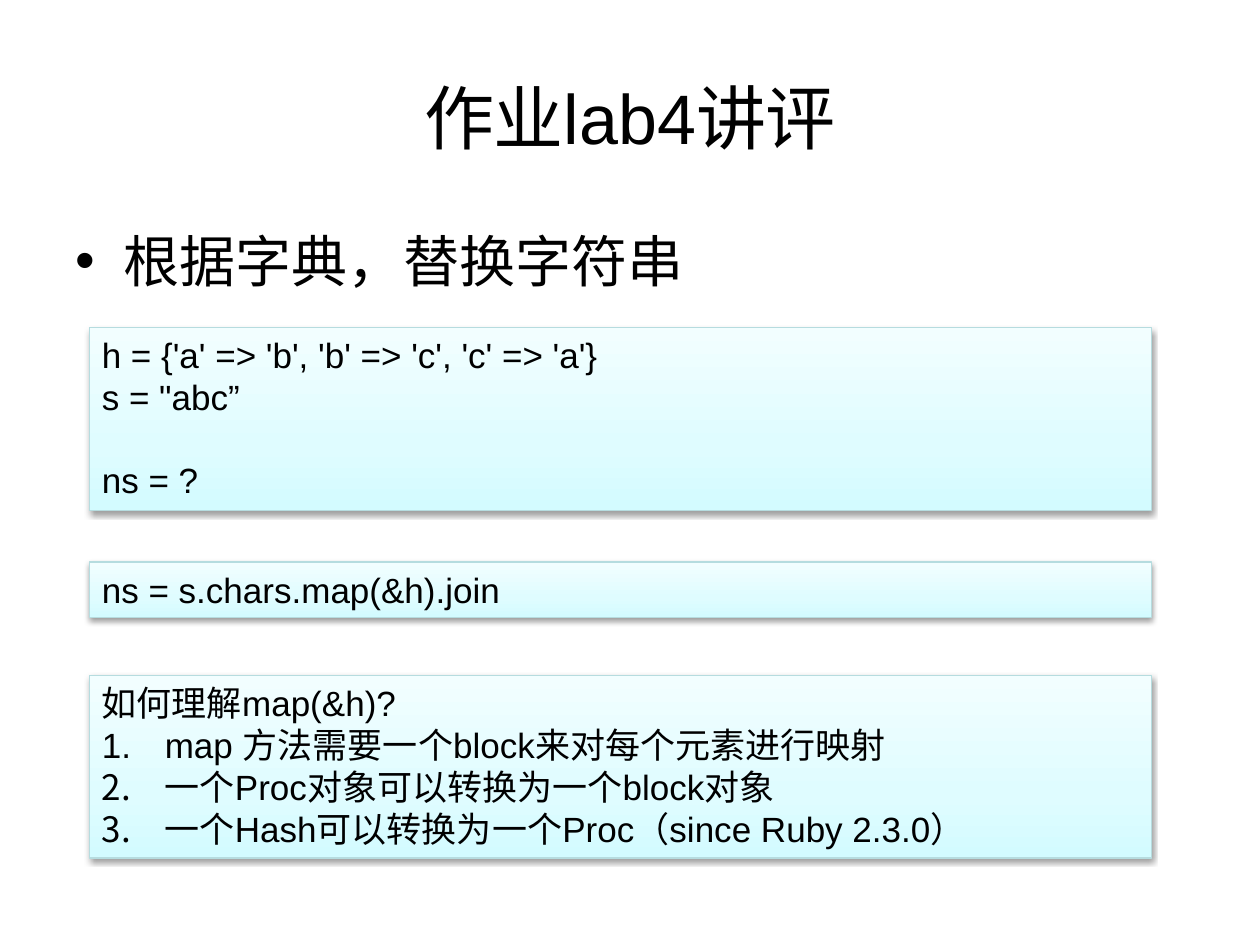
from dataclasses import dataclass

from lxml import etree
from pptx import Presentation
from pptx.dml.color import RGBColor
from pptx.enum.shapes import MSO_SHAPE
from pptx.enum.text import MSO_ANCHOR, MSO_AUTO_SIZE, PP_ALIGN
from pptx.oxml import parse_xml
from pptx.oxml.ns import qn
from pptx.util import Pt

PX = 9144
RECT = MSO_SHAPE.RECTANGLE
TOP, MIDDLE = MSO_ANCHOR.TOP, MSO_ANCHOR.MIDDLE
LEFT, CENTER = PP_ALIGN.LEFT, PP_ALIGN.CENTER
NO_FIT, GROW = MSO_AUTO_SIZE.NONE, MSO_AUTO_SIZE.SHAPE_TO_FIT_TEXT
A_NS = 'xmlns:a="http://schemas.openxmlformats.org/drawingml/2006/main"'


@dataclass(frozen=True)
class Theme:
    font: str = "Arial"
    text: str = "000000"
    border: str = "B6DCDF"
    shadow: str = "000000"
    gradient: tuple = ((0, "D3FBFF"), (35, "DFFCFF"), (100, "F2FEFF"))
    title_size: int = 40
    body_size: int = 32
    code_size: int = 20
    blank_line: int = 23


THEME = Theme()


def emu(box):
    return [v * PX for v in box]


def add_run(p, text, size):
    r = p.add_run()
    r.text = text
    r.font.name = THEME.font
    r.font.size = Pt(size)
    r.font.color.rgb = RGBColor.from_string(THEME.text)


def set_bullet(p, indent, tag, **attrs):
    pPr = p._p.get_or_add_pPr()
    pPr.set("marL", str(indent * PX))
    pPr.set("indent", str(-indent * PX))
    font = etree.SubElement(pPr, qn("a:buFont"))
    font.set("typeface", THEME.font)
    bullet = etree.SubElement(pPr, qn(tag))
    for name, value in attrs.items():
        bullet.set(name, value)


def style_panel(sp):
    sp.line.color.rgb = RGBColor.from_string(THEME.border)
    sp.line.width = Pt(0.75)
    stops = "".join(
        f'<a:gs pos="{pos * 1000}"><a:srgbClr val="{color}"/></a:gs>'
        for pos, color in THEME.gradient
    )
    gradient = parse_xml(
        f'<a:gradFill {A_NS} rotWithShape="1"><a:gsLst>{stops}</a:gsLst>'
        '<a:lin ang="16200000" scaled="0"/></a:gradFill>'
    )
    effects = parse_xml(
        f'<a:effectLst {A_NS}><a:outerShdw blurRad="40000" dist="20000" '
        f'dir="5400000" rotWithShape="0"><a:srgbClr val="{THEME.shadow}">'
        '<a:alpha val="38000"/></a:srgbClr></a:outerShdw></a:effectLst>'
    )
    spPr = sp._element.spPr
    spPr.find(qn("a:prstGeom")).addnext(gradient)
    spPr.find(qn("a:ln")).addnext(effects)


def place_title(s, box, text):
    title = s.shapes.title
    title.left, title.top, title.width, title.height = emu(box)
    tf = title.text_frame
    tf.vertical_anchor = MIDDLE
    p = tf.paragraphs[0]
    p.alignment = CENTER
    add_run(p, text, THEME.title_size)


def place_body(s, box, text):
    tf = s.shapes.add_textbox(*emu(box)).text_frame
    tf.word_wrap = True
    tf.auto_size = NO_FIT
    p = tf.paragraphs[0]
    set_bullet(p, 38, "a:buChar", char="•")
    p.space_before = Pt(THEME.body_size * 0.2)
    add_run(p, text, THEME.body_size)


def place_panel(s, box, lines, numbered=(), gap_before=None):
    sp = s.shapes.add_shape(RECT, *emu(box))
    style_panel(sp)
    tf = sp.text_frame
    tf.word_wrap = True
    tf.auto_size = GROW
    tf.vertical_anchor = TOP
    for i, text in enumerate([*lines, *numbered]):
        p = tf.paragraphs[0] if i == 0 else tf.add_paragraph()
        p.alignment = LEFT
        if i >= len(lines):
            set_bullet(p, 50, "a:buAutoNum", type="arabicPeriod")
        if i == gap_before:
            p.space_before = Pt(THEME.blank_line)
        add_run(p, text, THEME.code_size)


def main():
    prs = Presentation()
    prs.slide_width, prs.slide_height = emu((1000, 750))
    s = prs.slides.add_slide(prs.slide_layouts[5])
    place_title(s, (50, 30, 900, 125), "作业lab4讲评")
    place_body(s, (50, 175, 900, 495), "根据字典，替换字符串")
    left, width = 71, 843
    place_panel(
        s,
        (left, 260, width, 145),
        ["h = {'a' => 'b', 'b' => 'c', 'c' => 'a'}", 's = "abc”', "ns = ?"],
        gap_before=2,
    )
    place_panel(s, (left, 446, width, 44), ["ns = s.chars.map(&h).join"])
    place_panel(
        s,
        (left, 536, width, 145),
        ["如何理解map(&h)?"],
        numbered=[
            "map 方法需要一个block来对每个元素进行映射",
            "一个Proc对象可以转换为一个block对象",
            "一个Hash可以转换为一个Proc（since Ruby 2.3.0）",
        ],
    )
    prs.save("out.pptx")


if __name__ == "__main__":
    main()
